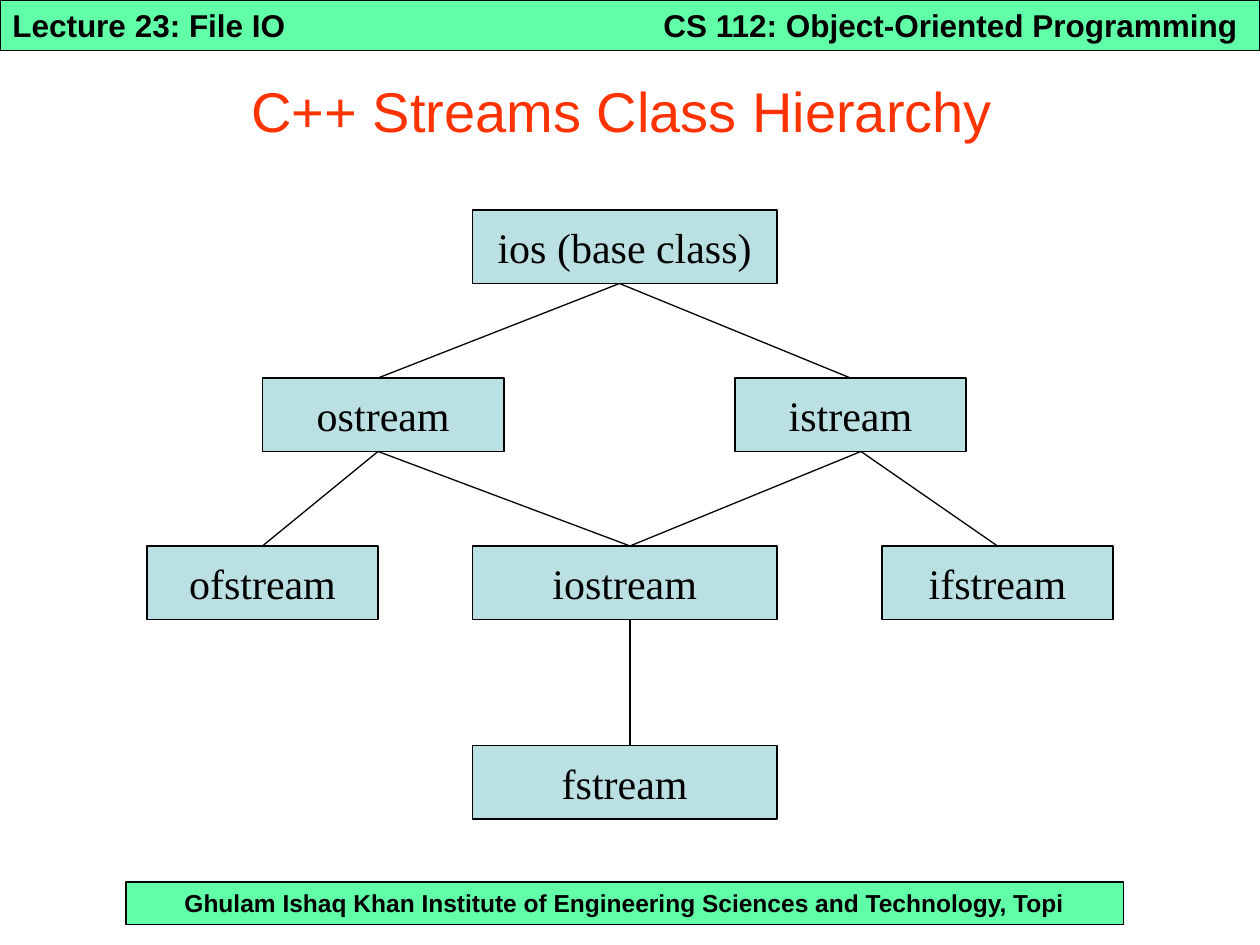
from lxml.etree import SubElement
from pptx import Presentation
from pptx.dml.color import RGBColor
from pptx.enum.shapes import MSO_CONNECTOR, MSO_SHAPE
from pptx.enum.text import MSO_ANCHOR, PP_ALIGN
from pptx.oxml.ns import qn
from pptx.util import Pt

BLACK = RGBColor(0x00, 0x00, 0x00)
GREEN = RGBColor(0x61, 0xFF, 0xA8)
PALE_BLUE = RGBColor(0xBB, 0xE0, 0xE3)
ORANGE_RED = RGBColor(0xFF, 0x33, 0x00)

TITLE = "C++ Streams Class Hierarchy "
LECTURE = "Lecture 23: File IO"
COURSE = "CS 112: Object-Oriented Programming"
INSTITUTE = "Ghulam Ishaq Khan Institute of Engineering Sciences and Technology, Topi"

SLIDE_WIDTH, SLIDE_HEIGHT = 720, 540
HEADER_HEIGHT = 28.8
CLASS_HEIGHT = 42
TOP_SIDE, BOTTOM_SIDE = 0, 2

# Class name: left, top, width
CLASSES = {
    "ios (base class)": (270, 120, 174),
    "ostream": (150, 216, 138),
    "istream": (420, 216, 132),
    "iostream": (270, 312, 174),
    "ofstream": (84, 312, 132),
    "ifstream": (504, 312, 132),
    "fstream": (270, 426, 174),
}

# Parent, x where the line leaves it, child, x where the line meets it
INHERITANCE = [
    ("ios (base class)", 354, "ostream", 216),
    ("ios (base class)", 354, "istream", 486),
    ("ostream", 216, "iostream", 360),
    ("istream", 492, "iostream", 360),
    ("ostream", 216, "ofstream", 150),
    ("istream", 492, "ifstream", 570),
    ("iostream", 360, "fstream", 360),
]


def write(shape, text, size, font_name="Arial", color=BLACK, bold=False,
          align=PP_ALIGN.LEFT, anchor=MSO_ANCHOR.TOP, wrap=True):
    frame = shape.text_frame
    frame.text = text
    frame.word_wrap = wrap
    frame.vertical_anchor = anchor
    paragraph = frame.paragraphs[0]
    paragraph.alignment = align
    font = paragraph.runs[0].font
    font.name, font.size, font.bold = font_name, Pt(size), bold
    font.color.rgb = color


def add_box(shapes, left, top, width, height, fill):
    box = shapes.add_shape(MSO_SHAPE.RECTANGLE, Pt(left), Pt(top), Pt(width), Pt(height))
    box.shadow.inherit = False
    box.fill.solid()
    box.fill.fore_color.rgb = fill
    box.line.color.rgb = BLACK
    box.line.width = Pt(0.75)
    return box


def add_inheritance(shapes, boxes, parent, parent_x, child, child_x):
    """Draw parent to child, joined to a box wherever the line meets its middle."""
    parent_bottom = CLASSES[parent][1] + CLASS_HEIGHT
    child_top = CLASSES[child][1]
    link = shapes.add_connector(MSO_CONNECTOR.STRAIGHT, Pt(parent_x), Pt(parent_bottom),
                                Pt(child_x), Pt(child_top))
    if parent_x == middle(parent):
        link.begin_connect(boxes[parent], BOTTOM_SIDE)
    if child_x == middle(child):
        link.end_connect(boxes[child], TOP_SIDE)
    link.line.color.rgb = BLACK
    link.line.width = Pt(0.75)
    SubElement(link._element.spPr, qn("a:effectLst"))


def middle(name):
    left, _, width = CLASSES[name]
    return left + width / 2


def main():
    deck = Presentation()
    deck.slide_width, deck.slide_height = Pt(SLIDE_WIDTH), Pt(SLIDE_HEIGHT)
    slide = deck.slides.add_slide(deck.slide_layouts[5])
    shapes = slide.shapes

    footer = add_box(shapes, 72, 504, 570, 24.5, GREEN)
    write(footer, INSTITUTE, 14, bold=True, align=PP_ALIGN.CENTER)
    header = add_box(shapes, 0, 0, SLIDE_WIDTH, HEADER_HEIGHT, GREEN)
    write(header, LECTURE, 18, bold=True)
    course = shapes.add_textbox(Pt(372), Pt(0), Pt(348), Pt(HEADER_HEIGHT))
    write(course, COURSE, 18, bold=True)

    title = shapes.title
    title.left, title.top, title.width, title.height = Pt(0), Pt(30), Pt(SLIDE_WIDTH), Pt(66)
    write(title, TITLE, 32, color=ORANGE_RED, align=PP_ALIGN.CENTER, anchor=MSO_ANCHOR.MIDDLE)

    boxes = {}
    for name, (left, top, width) in CLASSES.items():
        boxes[name] = add_box(shapes, left, top, width, CLASS_HEIGHT, PALE_BLUE)
        write(boxes[name], name, 24, "Times New Roman", align=PP_ALIGN.CENTER,
              anchor=MSO_ANCHOR.MIDDLE, wrap=False)

    for relation in INHERITANCE:
        add_inheritance(shapes, boxes, *relation)

    deck.save("out.pptx")


if __name__ == "__main__":
    main()
